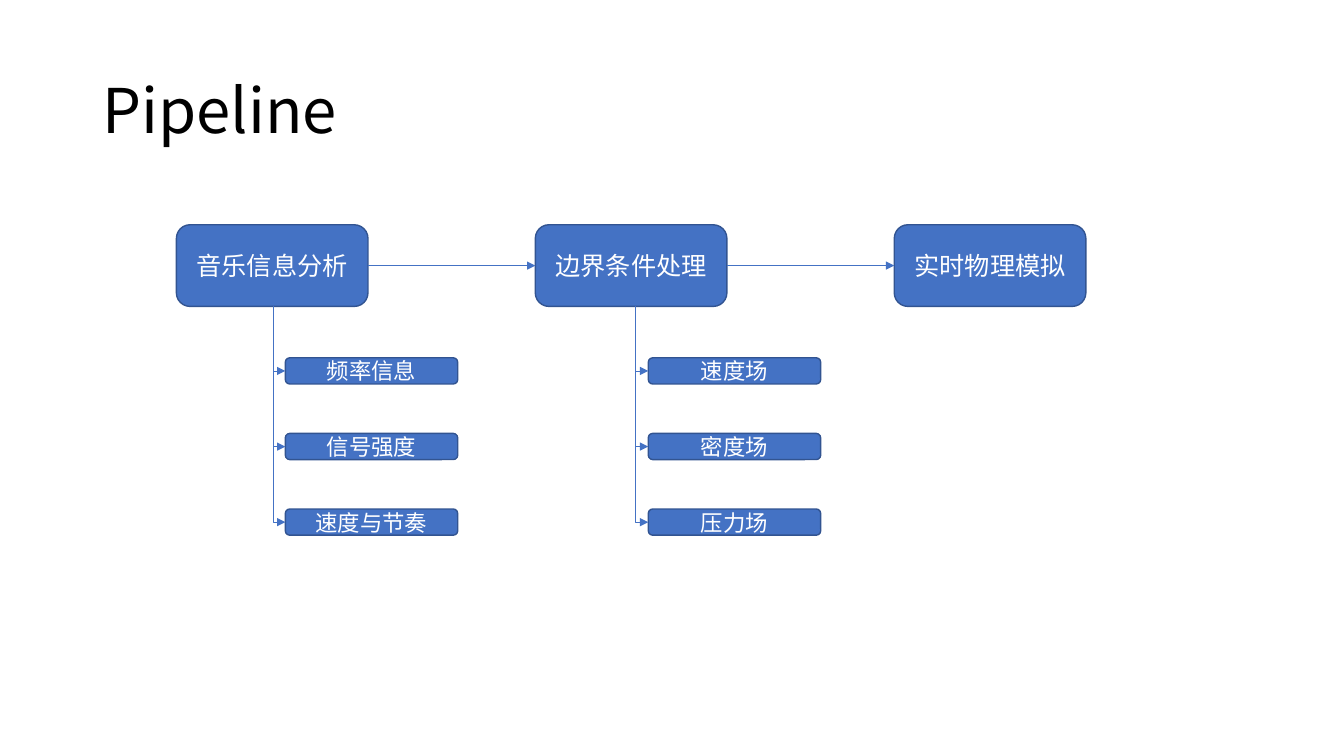
import pptx
import pptx.dml.color
import pptx.enum.shapes
import pptx.enum.text
import pptx.oxml
import pptx.oxml.ns
import pptx.util
from pptx.util import Inches

SHAPE = pptx.enum.shapes.MSO_SHAPE
CONNECTOR = pptx.enum.shapes.MSO_CONNECTOR
ALIGN = pptx.enum.text.PP_ALIGN
RIGHT_SITE, LEFT_SITE = 3, 1


def rgb(value):
    return pptx.dml.color.RGBColor.from_string(value)


def add_xml(parent, tag, **attributes):
    child = pptx.oxml.parse_xml(f"<a:{tag} {pptx.oxml.ns.nsdecls('a')}/>")
    for name, value in attributes.items():
        child.set(name, value)
    parent.append(child)


class PipelineSlide:
    font = "Noto Sans CJK SC"
    blue = "4472C4"
    outline = "325491"

    def __init__(self, prs):
        self.shapes = prs.slides.add_slide(prs.slide_layouts[6]).shapes

    def set_text(self, sp, text, size, color, align):
        tf = sp.text_frame
        tf.text = text
        tf.word_wrap = True
        tf.vertical_anchor = pptx.enum.text.MSO_ANCHOR.MIDDLE
        p = tf.paragraphs[0]
        p.alignment = align
        r = p.runs[0]
        r.font.name = self.font
        r.font.size = pptx.util.Pt(size)
        r.font.color.rgb = rgb(color)
        add_xml(r.font._element, "ea", typeface=self.font)
        return p

    def title(self, text, left, top, width, height):
        sp = self.shapes.add_textbox(Inches(left), Inches(top), Inches(width), Inches(height))
        p = self.set_text(sp, text, 44, "000000", ALIGN.LEFT)
        p.line_spacing = 0.9

    def box(self, text, left, top, width, height, size):
        sp = self.shapes.add_shape(SHAPE.ROUNDED_RECTANGLE, Inches(left), Inches(top),
                                   Inches(width), Inches(height))
        sp.shadow.inherit = False
        sp.fill.solid()
        sp.fill.fore_color.rgb = rgb(self.blue)
        sp.line.color.rgb = rgb(self.outline)
        sp.line.width = pptx.util.Pt(1)
        self.set_text(sp, text, size, "FFFFFF", ALIGN.CENTER)
        return sp

    def connector(self, kind, x1, y1, x2, y2):
        cxn = self.shapes.add_connector(kind, Inches(x1), Inches(y1), Inches(x2), Inches(y2))
        cxn.line.color.rgb = rgb(self.blue)
        cxn.line.width = pptx.util.Pt(0.5)
        spPr = cxn._element.spPr
        add_xml(spPr.find(pptx.oxml.ns.qn("a:ln")), "tailEnd", type="triangle")
        add_xml(spPr, "effectLst")
        return cxn

    def arrow(self, source, target):
        cxn = self.connector(CONNECTOR.STRAIGHT, 0, 0, 1, 1)
        cxn.begin_connect(source, RIGHT_SITE)
        cxn.end_connect(target, LEFT_SITE)

    def branch(self, x1, y1, x2, y2):
        """Draw an arrow that runs down from x1, y1 and then right to x2, y2."""
        across, down = x2 - x1, y2 - y1
        left = (x1 + x2 - down) / 2
        top = (y1 + y2 - across) / 2
        cxn = self.connector(CONNECTOR.ELBOW, left, top, left + down, top + across)
        spPr = cxn._element.spPr
        xfrm = spPr.find(pptx.oxml.ns.qn("a:xfrm"))
        xfrm.set("rot", "16200000")
        xfrm.set("flipH", "1")
        spPr.find(pptx.oxml.ns.qn("a:prstGeom")).set("prst", "bentConnector2")


def main():
    prs = pptx.Presentation()
    prs.slide_width, prs.slide_height = Inches(13.33), Inches(7.5)
    s = PipelineSlide(prs)
    s.title("Pipeline", 0.92, 0.4, 11.5, 1.45)

    stage_left, stage_top, stage_pitch = 1.75, 2.23, 3.56
    stage_width, stage_height = 1.9, 0.81
    stage_names = ["音乐信息分析", "边界条件处理", "实时物理模拟"]
    stages = [s.box(name, stage_left + i * stage_pitch, stage_top, stage_width, stage_height, 18)
              for i, name in enumerate(stage_names)]
    for source, target in zip(stages, stages[1:]):
        s.arrow(source, target)

    step_top, step_pitch = 3.55, 0.75
    step_width, step_height = 1.71, 0.26
    step_columns = [
        (2.71, 2.83, ["频率信息", "信号强度", "速度与节奏"]),
        (6.3, 6.43, ["速度场", "密度场", "压力场"]),
    ]
    for trunk, left, steps in step_columns:
        for i, name in enumerate(steps):
            top = step_top + i * step_pitch
            s.box(name, left, top, step_width, step_height, 16)
            s.branch(trunk, stage_top + stage_height, left, top + step_height / 2)

    prs.save("out.pptx")


if __name__ == "__main__":
    main()
